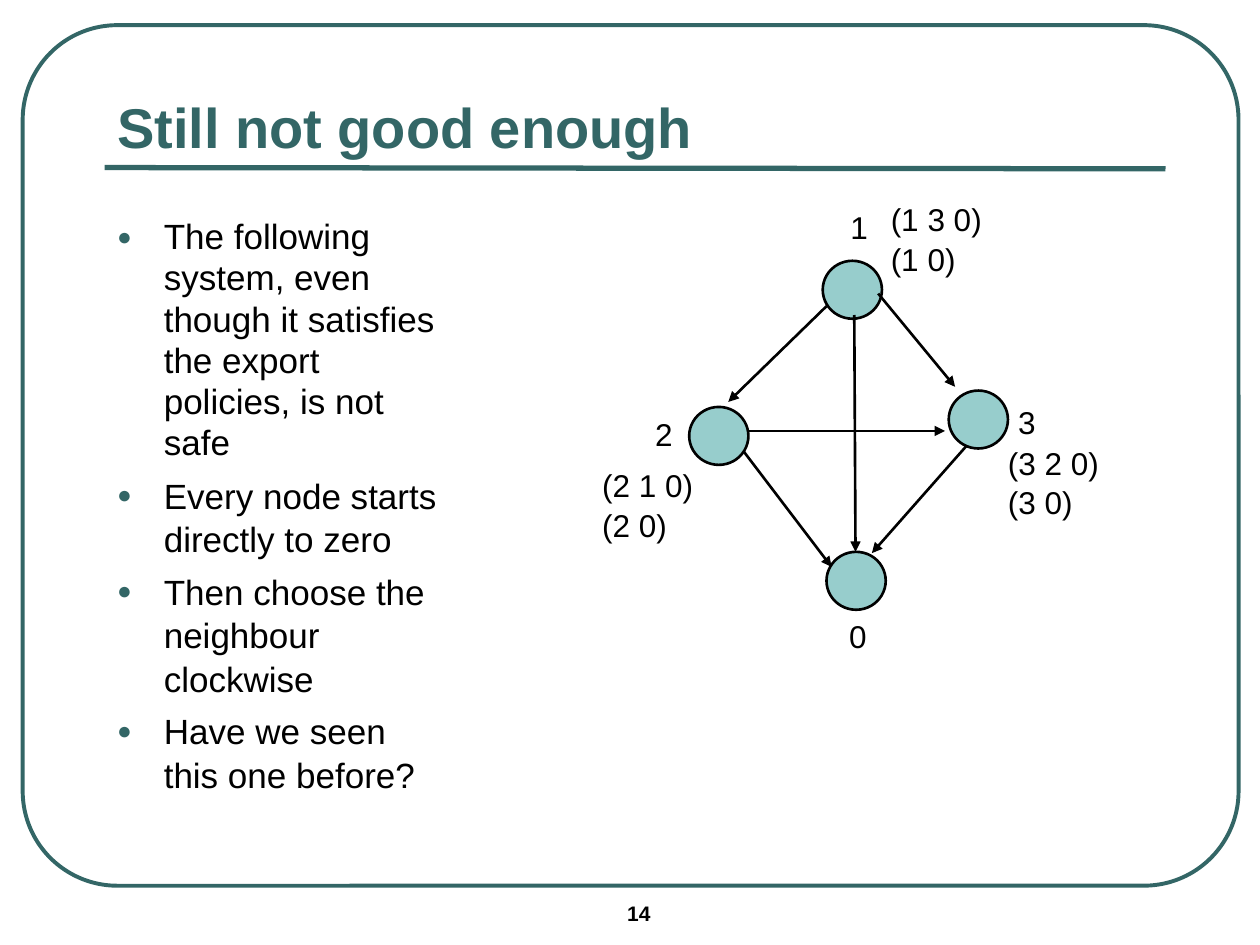
from lxml.etree import SubElement
from pptx import Presentation
from pptx.dml.color import RGBColor
from pptx.enum.shapes import MSO_CONNECTOR as Connector, MSO_SHAPE as Shape
from pptx.enum.text import MSO_ANCHOR as Anchor, MSO_AUTO_SIZE as AutoSize, PP_ALIGN as Align
from pptx.oxml.ns import qn
from pptx.util import Inches, Pt

COLORS = {"teal": "336666", "node": "97CDCC", "black": "000000"}
BULLETS = [
    ("The following system, even though it satisfies the export policies, is not safe", 0.98),
    ("Every node starts directly to zero", 1.04),
    ("Then choose the neighbour clockwise", 1.04),
    ("Have we seen this one before?", 1.04),
]
NODES = [(6.53, 2.07), (6.56, 4.38), (7.53, 3.1), (5.47, 3.23)]
EDGES = [
    ((5.9, 3.58), (6.6, 4.5)),
    ((6.78, 2.5), (6.79, 4.38)),
    ((7.67, 3.54), (6.92, 4.39)),
    ((5.94, 3.42), (7.5, 3.42)),
    ((6.56, 2.43), (5.78, 3.19)),
    ((6.97, 2.33), (7.58, 3.07)),
]
NAMES = [("1", 6.75, 1.65), ("0", 6.74, 4.9), ("3", 8.08, 3.2), ("2", 5.2, 3.29)]
PATHS = [
    (["(1 3 0)", "(1 0)"], 7.07, 1.59),
    (["(3 2 0)", "(3 0)"], 8, 3.52),
    (["(2 1 0)", "(2 0)"], 4.78, 3.7),
]


def color(name):
    return RGBColor.from_string(COLORS[name])


def place(box, left, top, width, height):
    box.left, box.top = Inches(left), Inches(top)
    box.width, box.height = Inches(width), Inches(height)


def style(para, size, name="black", bold=False):
    para.alignment = Align.LEFT
    font = para.font
    font.name, font.size, font.bold = "Arial", Pt(size), bold
    font.color.rgb = color(name)


def add_title(page, text):
    title = page.shapes.title
    place(title, 0.83, 0.58, 8.42, 0.75)
    frame = title.text_frame
    frame.text = text
    frame.auto_size = AutoSize.NONE
    frame.vertical_anchor = Anchor.BOTTOM
    para = frame.paragraphs[0]
    para.line_spacing = 0.93
    style(para, 32, "teal", True)


def add_bullet(para):
    props = para._p.get_or_add_pPr()
    props.set("marL", str(Inches(0.37)))
    props.set("indent", str(Inches(-0.37)))
    tint = SubElement(props, qn("a:buClr"))
    SubElement(tint, qn("a:srgbClr"), val=COLORS["teal"])
    SubElement(props, qn("a:buSzPct"), val="70000")
    SubElement(props, qn("a:buFont"), typeface="Arial")
    SubElement(props, qn("a:buChar"), char="●")


def add_list(page):
    body = page.placeholders[1]
    place(body, 0.83, 1.67, 2.74, 4.74)
    frame = body.text_frame
    frame.text = "\n".join(text for text, spacing in BULLETS)
    frame.auto_size = AutoSize.NONE
    frame.vertical_anchor = Anchor.TOP
    for para, (text, spacing) in zip(frame.paragraphs, BULLETS):
        para.line_spacing = spacing
        para.space_before = Pt(5)
        add_bullet(para)
        style(para, 20)


def add_label(page, lines, left, top, width, height, size=18, bold=False, margins=(0, 0), wrap=True):
    box = page.shapes.add_textbox(Inches(left), Inches(top), Inches(width), Inches(height))
    frame = box.text_frame
    frame.word_wrap = wrap
    frame.margin_left = frame.margin_right = Inches(margins[0])
    frame.margin_top = frame.margin_bottom = Inches(margins[1])
    frame.text = "\n".join(lines)
    for index, para in enumerate(frame.paragraphs):
        para.line_spacing = 1.05 if index else 1.0
        style(para, size, bold=bold)


def add_outline(page, preset, left, top, width, height, line, weight, fill=None):
    shape = page.shapes.add_shape(preset, Inches(left), Inches(top), Inches(width), Inches(height))
    shape.shadow.inherit = False
    if fill:
        shape.fill.solid()
        shape.fill.fore_color.rgb = color(fill)
    else:
        shape.fill.background()
    shape.line.color.rgb = color(line)
    shape.line.width = Pt(weight)
    return shape


def add_line(page, start, end, name, weight, arrow=False):
    line = page.shapes.add_connector(Connector.STRAIGHT, *map(Inches, start + end))
    line.line.color.rgb = color(name)
    line.line.width = Pt(weight)
    if arrow:
        SubElement(line.line._get_or_add_ln(), qn("a:tailEnd"), type="triangle")
    SubElement(line._element.spPr, qn("a:effectLst"))


def main():
    deck = Presentation()
    deck.slide_width, deck.slide_height = Inches(10), Inches(7.5)
    page = deck.slides.add_slide(deck.slide_layouts[1])
    add_label(page, ["14"], 4.88, 7.1, 1.17, 0.29, 12, True, (0.1, 0.05))
    border = add_outline(page, Shape.ROUNDED_RECTANGLE, 0.18, 0.2, 9.65, 6.83, "teal", 2.25)
    border.adjustments[0] = 0.11
    add_line(page, (0.83, 1.33), (9.25, 1.34), "teal", 3)
    add_title(page, "Still not good enough")
    add_list(page)
    for left, top in NODES:
        add_outline(page, Shape.OVAL, left, top, 0.47, 0.46, "black", 1.5, "node")
    for start, end in EDGES:
        add_line(page, start, end, "black", 1.5, arrow=True)
    for name, left, top in NAMES:
        add_label(page, [name], left, top, 0.14, 0.28, wrap=False)
    for lines, left, top in PATHS:
        add_label(page, lines, left, top, 1.1, 0.58)
    deck.save("out.pptx")


if __name__ == "__main__":
    main()
